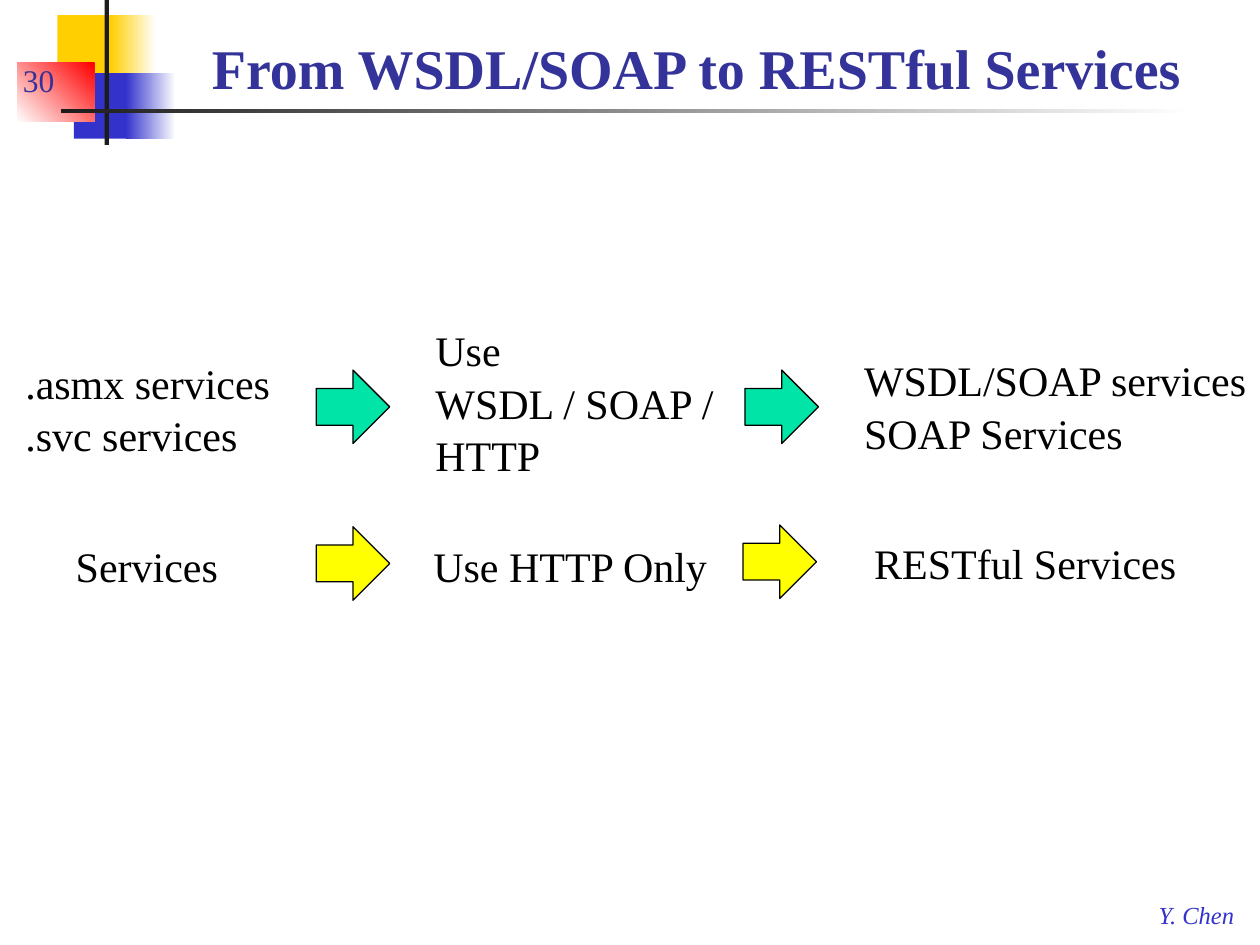
import pptx
import pptx.util
import pptx.dml.color
import pptx.enum.shapes
import pptx.enum.text

Pt = pptx.util.Pt
RGBColor = pptx.dml.color.RGBColor
ANCHOR = pptx.enum.text.MSO_ANCHOR
SHAPE = pptx.enum.shapes.MSO_SHAPE

FONT = "Times New Roman"
WHITE = RGBColor(0xFF, 0xFF, 0xFF)
BLACK = RGBColor(0x00, 0x00, 0x00)
GOLD = RGBColor(0xFF, 0xCF, 0x01)
BLUE = RGBColor(0x33, 0x33, 0xCC)
NAVY = RGBColor(0x33, 0x33, 0x99)
RED = RGBColor(0xFF, 0x00, 0x00)
CHARCOAL = RGBColor(0x1C, 0x1C, 0x1C)
GREEN = RGBColor(0x00, 0xE4, 0xA8)
YELLOW = RGBColor(0xFF, 0xFF, 0x00)

ARROW_SIZE = 42


def add_block(slide, box, start, end=None, angle=0):
    """Borderless rectangle, plain or fading from start to end."""
    shape = slide.shapes.add_shape(SHAPE.RECTANGLE, *map(Pt, box))
    shape.shadow.inherit = False
    shape.line.fill.background()
    if end is None:
        shape.fill.solid()
        shape.fill.fore_color.rgb = start
    else:
        shape.fill.gradient()
        shape.fill.gradient_angle = angle
        for stop, color in zip(shape.fill.gradient_stops, (start, end)):
            stop.color.rgb = color


def add_text(slide, box, lines, size=24, color=BLACK, wrap=False,
             anchor=ANCHOR.TOP, spacing=1.04, bold=False, italic=False):
    text_frame = slide.shapes.add_textbox(*map(Pt, box)).text_frame
    text_frame.word_wrap = wrap
    text_frame.vertical_anchor = anchor
    text_frame.text = "\n".join(lines)
    for paragraph in text_frame.paragraphs:
        paragraph.line_spacing = spacing
        for run in paragraph.runs:
            run.font.name = FONT
            run.font.size = Pt(size)
            run.font.color.rgb = color
            run.font.bold = bold
            run.font.italic = italic


def add_arrow(slide, left, top, color):
    shape = slide.shapes.add_shape(
        SHAPE.RIGHT_ARROW, Pt(left), Pt(top), Pt(ARROW_SIZE), Pt(ARROW_SIZE))
    shape.shadow.inherit = False
    shape.fill.solid()
    shape.fill.fore_color.rgb = color
    shape.line.color.rgb = BLACK
    shape.line.width = Pt(0.75)


def add_ornament(slide, left, top):
    """Coloured squares crossed by two dark bars."""
    blocks = [
        ((23, 8.6, 34.5, 37.5), GOLD, None, 0),
        ((53.3, 8.6, 26, 37.5), GOLD, WHITE, 0),
        ((32.5, 41.8, 33, 37.5), BLUE, None, 0),
        ((62, 41.8, 28.5, 37.5), BLUE, WHITE, 0),
        ((0, 36, 44, 33.5), WHITE, RED, 45),
        ((50, 0, 2.4, 82.8), CHARCOAL, None, 0),
        ((24.8, 62.2, 648, 2.2), CHARCOAL, WHITE, 0),
    ]
    for (x, y, width, height), start, end, angle in blocks:
        add_block(slide, (left + x, top + y, width, height), start, end, angle)


def add_flow(slide, top, color, steps, arrows):
    """One row of steps with arrows between them."""
    for (left, offset, width, height), lines, wrap in steps:
        add_text(slide, (left, top + offset, width, height), lines, wrap=wrap)
    for left, offset in arrows:
        add_arrow(slide, left, top + offset, color)


def main():
    presentation = pptx.Presentation()
    presentation.slide_width = Pt(720)
    presentation.slide_height = Pt(540)
    slide = presentation.slides.add_slide(presentation.slide_layouts[6])

    # Ornament, author, title and slide number
    add_ornament(slide, 9.8, 0)
    add_text(slide, (655, 510, 59, 24), ["Y. Chen"], 14, BLUE, italic=True)
    add_text(slide, (114, 12, 600, 49), ["From WSDL/SOAP to RESTful Services"],
             32, NAVY, True, ANCHOR.BOTTOM, 1, bold=True)
    add_text(slide, (6, 24, 57, 36), ["30"], 18, NAVY, True, ANCHOR.BOTTOM, 1)

    # SOAP route
    add_flow(slide, 181, GREEN, [
        ((7.4, 18.5, 155.5, 65.5), [".asmx services", ".svc services"], False),
        ((241.7, 0, 184, 94.5), ["Use", "WSDL / SOAP / HTTP"], True),
        ((486.7, 17, 235.5, 65.5), ["WSDL/SOAP services", "SOAP Services"], False),
    ], [(180.7, 30.5), (425.7, 30.5)])

    # REST route
    add_flow(slide, 301, YELLOW, [
        ((36.2, 3, 96.5, 36), ["Services"], False),
        ((240.5, 3, 184, 36), ["Use HTTP Only"], True),
        ((492.5, 1.5, 202, 36), ["RESTful Services"], True),
    ], [(180.7, 0), (424.6, -1)])

    presentation.save("out.pptx")


if __name__ == "__main__":
    main()
